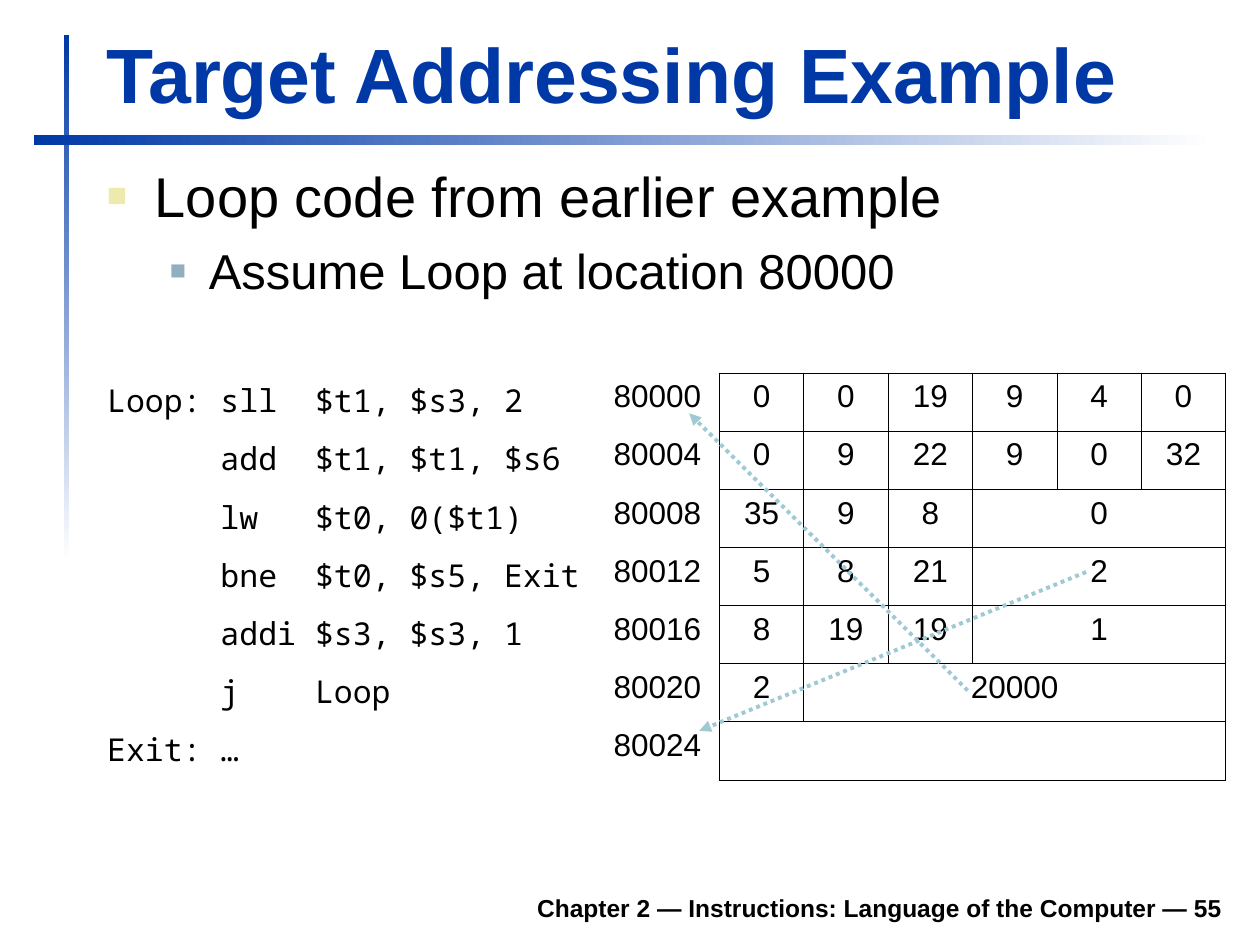
from dataclasses import dataclass
from lxml.etree import SubElement
from pptx import Presentation
from pptx.dml.color import RGBColor
from pptx.enum.dml import MSO_LINE
from pptx.enum.shapes import MSO_CONNECTOR, MSO_SHAPE
from pptx.enum.text import MSO_ANCHOR, PP_ALIGN
from pptx.oxml import parse_xml
from pptx.oxml.ns import nsdecls, qn
from pptx.util import Inches, Pt


@dataclass(frozen=True)
class Theme:
    blue: str = "0039A6"
    white: str = "FFFFFF"
    black: str = "000000"
    sand: str = "ECEAAC"
    steel: str = "91AFBF"
    aqua: str = "9FCAD3"
    sans: str = "Arial"
    mono: str = "Noto Sans Mono"
    title: int = 44
    head: int = 32
    sub: int = 28
    cell: int = 18
    foot: int = 14


theme = Theme()


def style(para, size, color=theme.black, name=theme.sans, bold=False):
    font = para.font
    font.size, font.name, font.bold = Pt(size), name, bold
    font.color.rgb = RGBColor.from_string(color)


def add_text(box, lines, anchor=MSO_ANCHOR.TOP):
    frame = slide.shapes.add_textbox(*map(Inches, box)).text_frame
    frame.word_wrap = True
    frame.vertical_anchor = anchor
    frame.text = "\n".join(lines)
    return frame.paragraphs


deck = Presentation()
deck.slide_width, deck.slide_height = Inches(10), Inches(7.5)
slide = deck.slides.add_slide(deck.slide_layouts[6])

for box, angle in [((0.51, 0.28, 0.04, 4.17), 270), ((0.27, 1.07, 9.37, 0.08), 0)]:
    bar = slide.shapes.add_shape(MSO_SHAPE.RECTANGLE, *map(Inches, box))
    bar.shadow.inherit = False
    bar.line.fill.background()
    bar.fill.gradient()
    bar.fill.gradient_angle = angle
    for stop, color in zip(bar.fill.gradient_stops, (theme.blue, theme.white)):
        stop.color.rgb = RGBColor.from_string(color)

foot = add_text((1.85, 6.98, 7.95, 0.39),
                ["Chapter 2 — Instructions: Language of the Computer — 55"], MSO_ANCHOR.BOTTOM)[0]
foot.alignment = PP_ALIGN.RIGHT
style(foot, theme.foot, bold=True)

title = add_text((0.75, 0.16, 9.03, 0.83), ["Target Addressing Example"], MSO_ANCHOR.BOTTOM)[0]
style(title, theme.title, theme.blue, bold=True)

points = add_text((0.75, 1.23, 9.04, 1.34),
                  ["Loop code from earlier example", "Assume Loop at location 80000"])
looks = [(0.38, 0.38, theme.sand, 60, theme.head), (0.81, 0.31, theme.steel, 55, theme.sub)]
for level, (para, (left, hang, color, scale, size)) in enumerate(zip(points, looks)):
    para.level = level
    props = para._p.get_or_add_pPr()
    props.set("marL", str(Inches(left)))
    props.set("indent", str(-Inches(hang)))
    SubElement(SubElement(props, qn("a:buClr")), qn("a:srgbClr"), val=color)
    SubElement(props, qn("a:buSzPct"), val=str(scale * 1000))
    SubElement(props, qn("a:buFont"), typeface=theme.sans)
    SubElement(props, qn("a:buChar"), char="■")
    style(para, size)
points[1].space_before = Pt(7)

code = [
    ("Loop: sll  $t1, $s3, 2", [0, 0, 19, 9, 4, 0]),
    ("      add  $t1, $t1, $s6", [0, 9, 22, 9, 0, 32]),
    ("      lw   $t0, 0($t1)", [35, 9, 8, 0]),
    ("      bne  $t0, $s5, Exit", [5, 8, 21, 2]),
    ("      addi $s3, $s3, 1", [8, 19, 19, 1]),
    ("      j    Loop", [2, 20000]),
    ("Exit: …", [""]),
]
widths = [4.02, 0.94] + [0.67] * 6
grid = slide.shapes.add_table(len(code), len(widths), Inches(0.75), Inches(2.96),
                              Inches(sum(widths)), Inches(3.23)).table
grid.first_row = grid.horz_banding = False
for col, width in zip(grid.columns, widths):
    col.width = Inches(width)

for row, (line, fields) in enumerate(code):
    grid.rows[row].height = Inches(3.23 / len(code))
    texts = [line, 80000 + 4 * row] + fields
    last = len(texts) - 1
    if last < len(widths) - 1:
        grid.cell(row, last).merge(grid.cell(row, len(widths) - 1))
    for col in range(len(widths)):
        cell = grid.cell(row, col)
        cell.fill.background()
        props = cell._tc.get_or_add_tcPr()
        for spot, side in enumerate("LRTB"):
            dark = col > 1 or (col == 1 and side == "R")
            color = theme.black if dark else theme.white
            props.insert(spot, parse_xml(
                f'<a:ln{side} {nsdecls("a")} w="{Pt(0.45)}"><a:solidFill>'
                f'<a:srgbClr val="{color}"/></a:solidFill></a:ln{side}>'))
        if col <= last:
            cell.text = str(texts[col])
            para = cell.text_frame.paragraphs[0]
            para.alignment = PP_ALIGN.CENTER if col > 1 else PP_ALIGN.LEFT
            style(para, theme.cell, name=theme.sans if col else theme.mono)

for ends in [(7.68, 5.48, 5.47, 3.28), (8.62, 4.54, 5.55, 5.8)]:
    jump = slide.shapes.add_connector(MSO_CONNECTOR.STRAIGHT, *map(Inches, ends))
    jump.line.width = Pt(2.25)
    jump.line.color.rgb = RGBColor.from_string(theme.aqua)
    jump.line.dash_style = MSO_LINE.ROUND_DOT
    SubElement(jump.line._get_or_add_ln(), qn("a:tailEnd"), type="triangle")
    SubElement(jump._element.spPr, qn("a:effectLst"))

deck.save("out.pptx")
